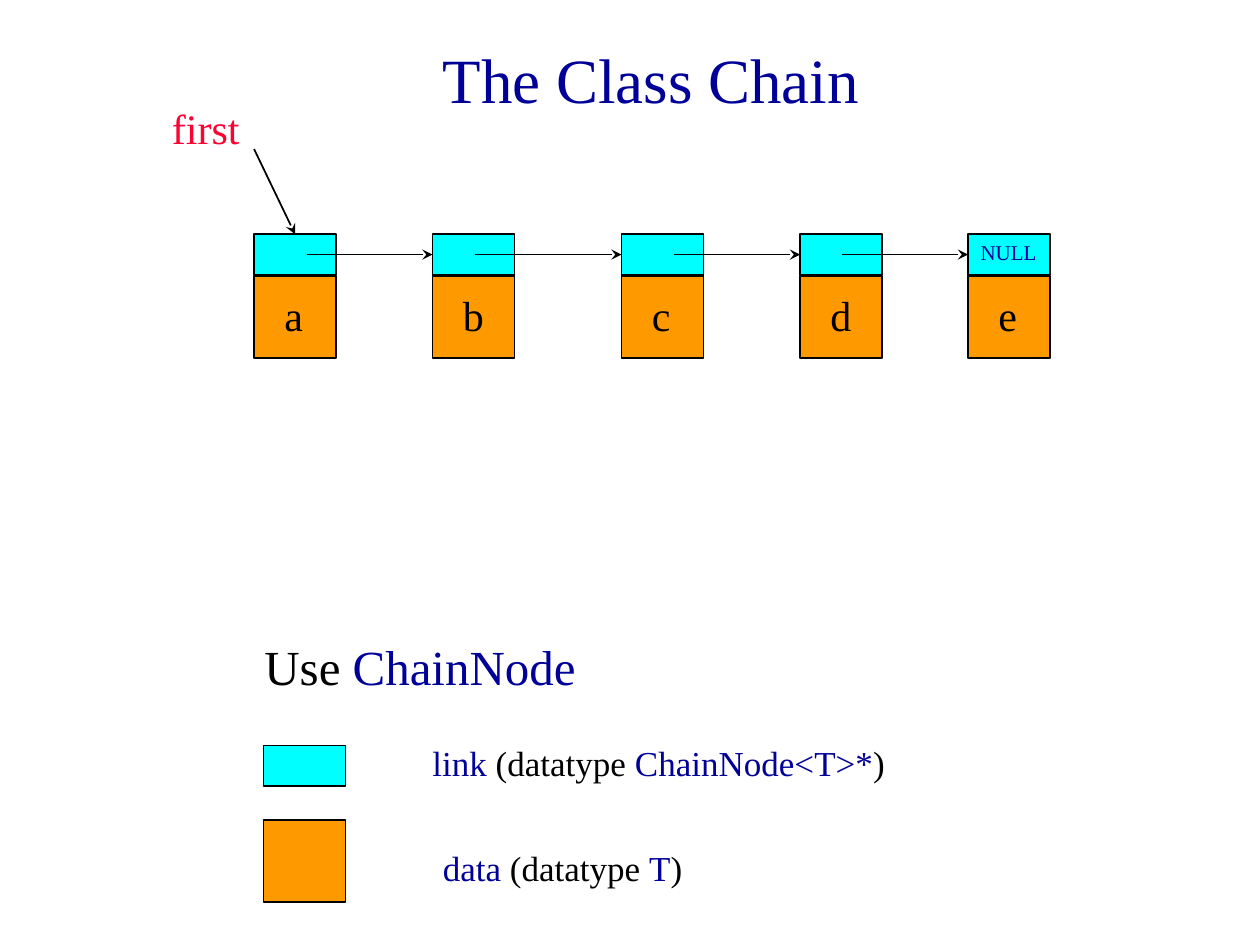
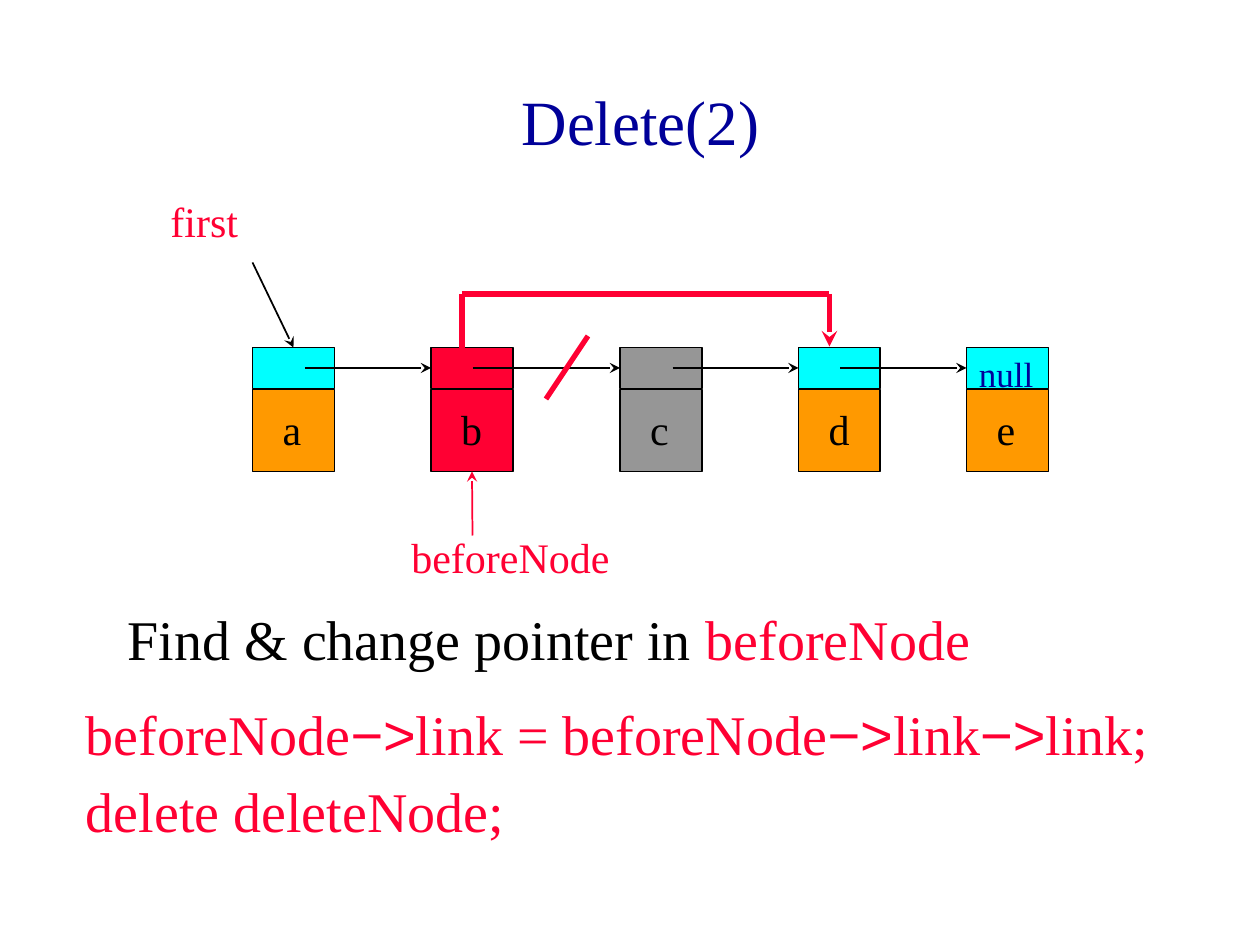
from pptx import Presentation
from pptx import util as u
from pptx.dml.color import RGBColor
from pptx.enum import shapes, text
from pptx.oxml import ns
from lxml import etree

# Shared look: a grid of 120 columns by 90 rows
NAVY, RED, BLACK = "000099", "FF0033", "000000"
CYAN, ORANGE, GREY = "00FFFF", "FF9900", "969696"
SERIF, SANS = "Times New Roman", "Arial"
NODE_WIDTH, LINK_HEIGHT, DATA_HEIGHT, DATA_DROP = 7.8, 3.9, 7.8, 4
NODE_COLUMNS = [24, 41, 59, 76, 92]
POINTER_STARTS = [29, 45, 64, 80]
LETTERS = "abcde"

deck = Presentation()
deck.slide_width, deck.slide_height = u.Inches(10), u.Inches(7.5)
CELL = deck.slide_width / 120
color = RGBColor.from_string


def place(page, area, lines=(), size=24, fill=None, align="LEFT", anchor="TOP", gap=0):
    """Add a filled rectangle or a text box; a line is a list of (words, colour, font)."""
    area = [round(value * CELL) for value in area]
    if fill:
        box = page.shapes.add_shape(shapes.MSO_SHAPE.RECTANGLE, *area)
        box.shadow.inherit = False
        box.fill.solid()
        box.fill.fore_color.rgb = color(fill)
        box.line.color.rgb = color(BLACK)
        box.line.width = u.Pt(1)
        return box
    box = page.shapes.add_textbox(*area)
    frame = box.text_frame
    layout = {"word_wrap": True, "vertical_anchor": text.MSO_ANCHOR[anchor]}
    for name, value in layout.items():
        setattr(frame, name, value)
    for index, line in enumerate(lines):
        para = frame.add_paragraph() if index else frame.paragraphs[0]
        para.alignment = text.PP_ALIGN[align]
        if index:
            para.space_before = u.Pt(gap)
        for words, ink, face in line:
            span = para.add_run()
            span.text = words
            for name, value in {"name": face, "size": u.Pt(size)}.items():
                setattr(span.font, name, value)
            span.font.color.rgb = color(ink)
    return box


def connect(page, start, end, ink=BLACK, width=1, arrow=True, target=None, side=None):
    """Draw a line between grid points, joined to a target's side when one is given."""
    points = [round(value * CELL) for value in (*start, *end)]
    line = page.shapes.add_connector(shapes.MSO_CONNECTOR.STRAIGHT, *points)
    line.line.color.rgb = color(ink)
    line.line.width = u.Pt(width)
    if arrow:
        etree.SubElement(line.line._get_or_add_ln(), ns.qn("a:tailEnd"), type="stealth")
    etree.SubElement(line._element.spPr, ns.qn("a:effectLst"))
    if target is not None:
        line.end_connect(target, side)


# What differs between the two chains
chains = [
    {"title": "The Class Chain", "title_at": (11, 0), "shift": 0.2, "top": 22.3,
     "first_row": 9.2, "end": "NULL", "end_size": 12, "marked": {}},
    {"title": "Delete(2)", "title_at": (10, 4), "shift": 0.05, "top": 33.1,
     "first_row": 18, "end": "null", "end_size": 20, "marked": {"b": RED, "c": GREY}},
]
pages, data_boxes = [], {}

for chain in chains:
    page = deck.slides.add_slide(deck.slide_layouts[6])
    pages.append(page)
    shift, top = chain["shift"], chain["top"]

    # Title
    place(page, (*chain["title_at"], 102, 15), [[(chain["title"], NAVY, SERIF)]],
          size=36, align="CENTER", anchor="MIDDLE")

    # Nodes
    links = []
    for letter, column in zip(LETTERS, NODE_COLUMNS):
        left, mark = column + shift, chain["marked"].get(letter)
        data_boxes[letter] = place(page, (left, top + DATA_DROP, NODE_WIDTH, DATA_HEIGHT),
                                   fill=mark or ORANGE)
        links.append(place(page, (left, top, NODE_WIDTH, LINK_HEIGHT), fill=mark or CYAN))
        place(page, (left + 1.7, top + 4.7, 6, 6), [[(letter, BLACK, SERIF)]])
    place(page, (left, top - 0.1, 8, 5), [[(chain["end"], NAVY, SERIF)]],
          size=chain["end_size"])

    # Pointers from node to node
    middle = top + LINK_HEIGHT / 2
    for start, column, link in zip(POINTER_STARTS, NODE_COLUMNS[1:], links[1:]):
        connect(page, (start + shift, middle), (column + shift, middle), target=link, side=1)

    # Pointer to the first node
    place(page, (15 + shift, chain["first_row"], 22, 6), [[("first", RED, SERIF)]])
    connect(page, (24 + shift, top - 8.1), (28 + shift, top), target=links[0], side=0)

class_page, delete_page = pages

# Legend of the node class
place(class_page, (24, 60, 71, 7),
      [[("Use ", BLACK, SERIF), ("ChainNode", NAVY, SERIF)]], size=28)
place(class_page, (25.1, 71, NODE_WIDTH, LINK_HEIGHT), fill=CYAN)
place(class_page, (25.1, 78.1, NODE_WIDTH, DATA_HEIGHT), fill=ORANGE)
place(class_page, (40, 70, 66, 5),
      [[("link ", NAVY, SERIF), ("(datatype", BLACK, SERIF),
        (" ChainNode<T>*", NAVY, SERIF), (")", BLACK, SERIF)]], size=20)
place(class_page, (41, 80, 66, 5),
      [[("data", NAVY, SERIF), (" (datatype ", BLACK, SERIF),
        ("T", NAVY, SERIF), (")", BLACK, SERIF)]], size=20)

# Bypass from b to d, and the stroke through the old pointer
bypass = [(44, 35), (44, 28), (79, 28), (79, 33)]
for start, end in zip(bypass, bypass[1:]):
    connect(delete_page, start, end, RED, 3, arrow=end == bypass[-1])
connect(delete_page, (56, 32), (52, 38), RED, 3, arrow=False)

# Label of the node before the deleted one
place(delete_page, (38, 50, 24, 6), [[("beforeNode", RED, SERIF)]])
connect(delete_page, (45, 51), (45, 45), RED, target=data_boxes["b"], side=2)

# Explanation and code
place(delete_page, (11, 57, 102, 13),
      [[("Find & change pointer in", BLACK, SERIF), (" beforeNode", RED, SERIF)]], size=32)
arrow = ("−>", RED, SANS)
place(delete_page, (7, 66, 113, 13),
      [[("beforeNode", RED, SERIF), arrow, ("link = beforeNode", RED, SERIF), arrow,
        ("link", RED, SERIF), arrow, ("link;", RED, SERIF)],
       [("delete deleteNode;", RED, SERIF)]], size=32, gap=6)

deck.save("out.pptx")
